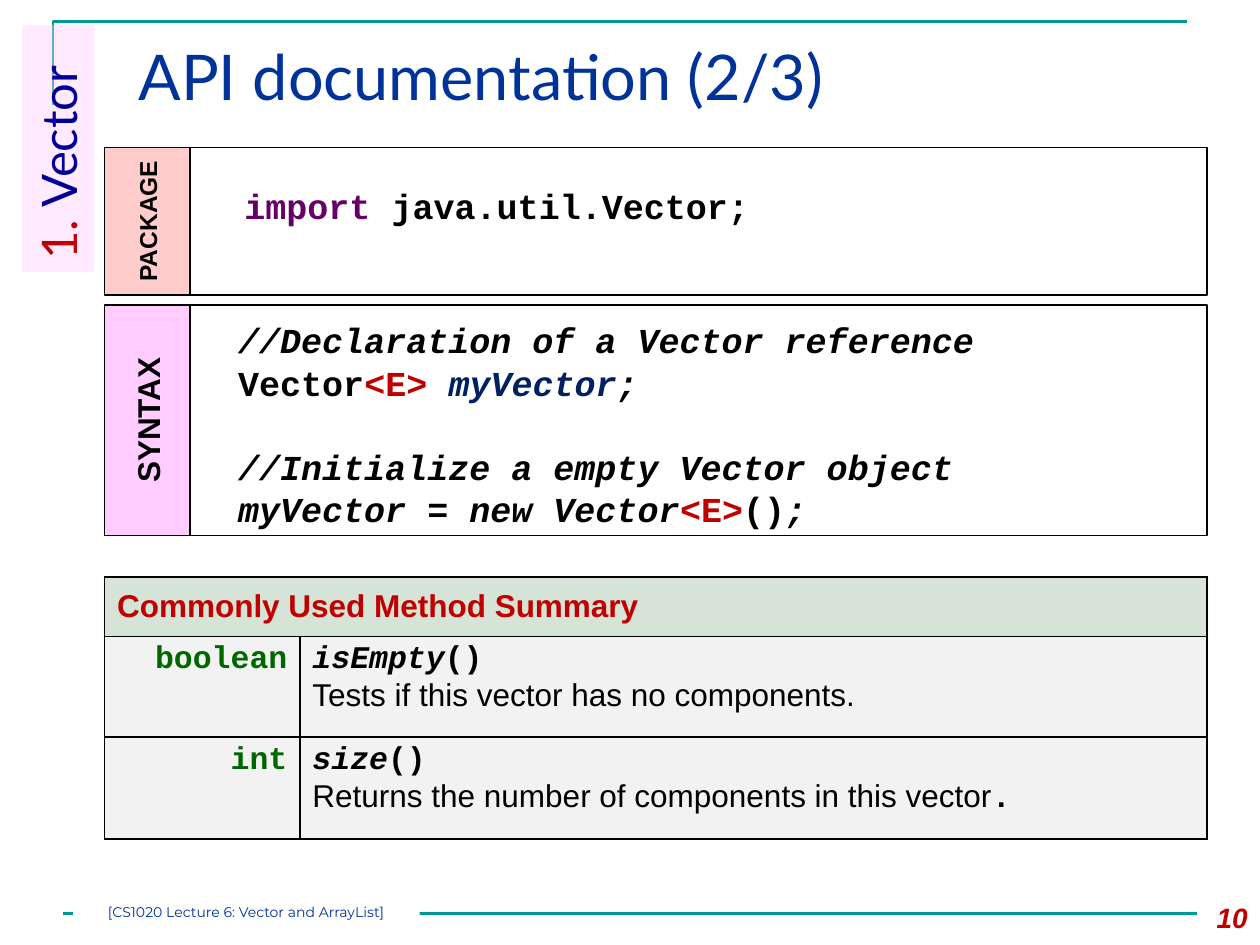
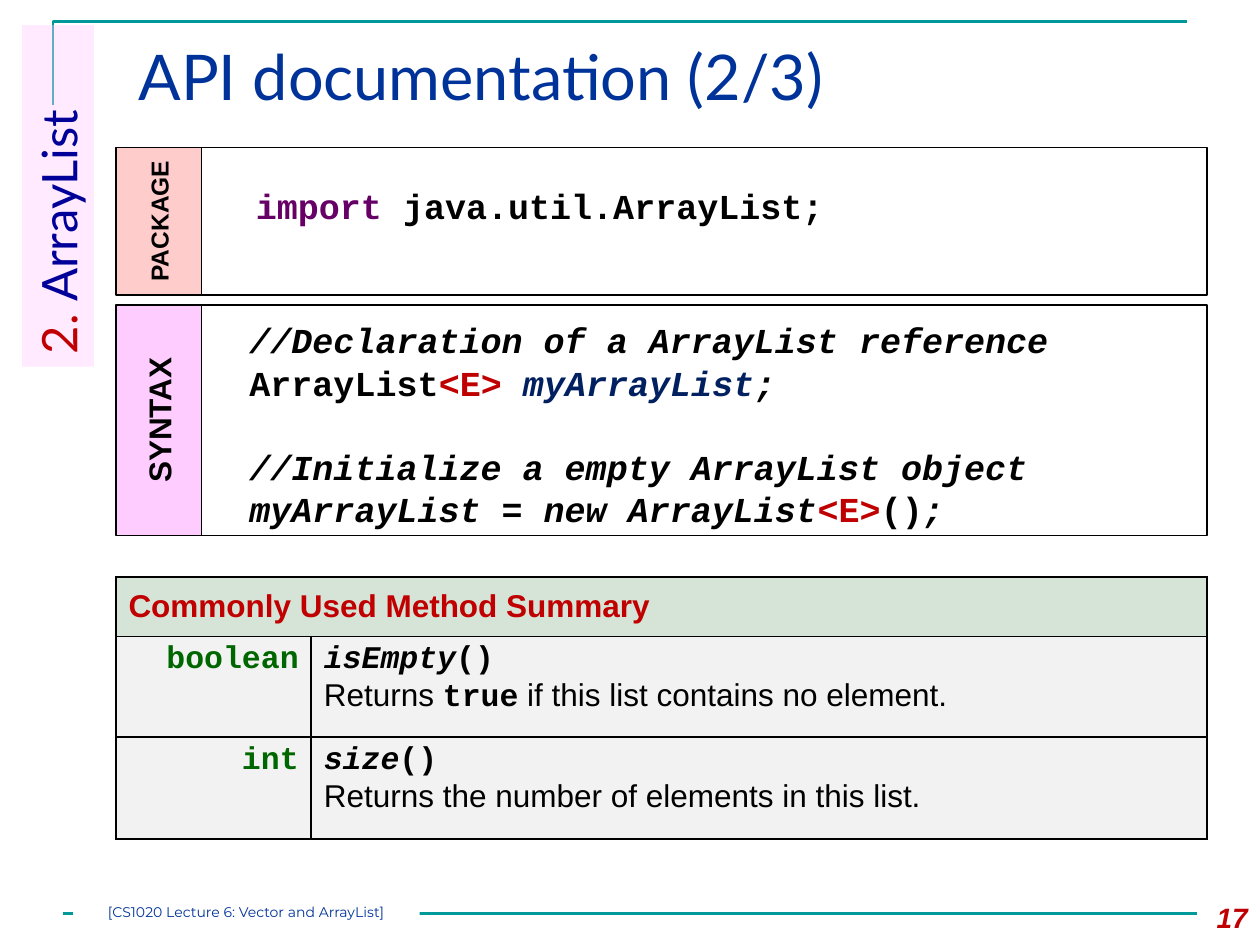
"""Build two lecture slides documenting the Vector and ArrayList classes."""
from lxml import etree
from pptx import Presentation, util as u
from pptx.dml.color import RGBColor
from pptx.enum import shapes, text
from pptx.oxml.ns import qn

Inches, Pt = u.Inches, u.Pt
COLORS = {
    "black": "000000", "white": "FFFFFF", "teal": "009999", "title": "003399",
    "red": "C00000", "navy": "000099", "variable": "002060", "keyword": "660066",
    "type": "006600", "pink": "FFCCFF", "salmon": "FFCCCC", "header": "D6E3D7",
    "row": "F2F2F2",
}
SANS, CODE, HEADING, FOOTER = "Arial", "Courier New", "Lato", "Montserrat"
RIGHT_EDGE = 9.58
LABEL_WIDTH = 0.68


def rgb(name):
    return RGBColor.from_string(COLORS[name])


def code(words, color="black", style="b"):
    return words, color, CODE, style


def plain(words):
    return words, "black", SANS, ""


class SlideBuilder:
    """Hold the shared style and the current slide, and draw elements on it."""

    def __init__(self, presentation):
        self.presentation = presentation
        self.slide = None

    def start(self, title):
        self.slide = self.presentation.slides.add_slide(self.presentation.slide_layouts[5])
        self.corner_line()
        self.rule()
        shape = self.slide.shapes.title
        shape.left, shape.top = Inches(1), Inches(0.25)
        shape.width, shape.height = Inches(8.5), Inches(0.86)
        frame = shape.text_frame
        frame.auto_size = text.MSO_AUTO_SIZE.NONE
        frame.vertical_anchor = text.MSO_ANCHOR.TOP
        self.add_runs(frame.paragraphs[0], [(title, "title", HEADING, "")], 36)

    def add_runs(self, paragraph, runs, size, align=text.PP_ALIGN.LEFT):
        paragraph.alignment = align
        for words, color, font, style in runs:
            if words == "\n":
                paragraph.add_line_break()
                continue
            run = paragraph.add_run()
            run.text = words
            run.font.name, run.font.size = font, Pt(size)
            run.font.bold, run.font.italic = "b" in style, "i" in style
            run.font.color.rgb = rgb(color)

    def corner_line(self):
        builder = self.slide.shapes.build_freeform(Inches(0.42), Inches(0.83))
        builder.add_line_segments(
            [(Inches(0.42), Inches(0.17)), (Inches(9.42), Inches(0.17))], close=False)
        shape = builder.convert_to_shape()
        shape.shadow.inherit = False
        shape.fill.background()
        shape.line.color.rgb = rgb("teal")
        shape.line.width = Pt(1.5)

    def rule(self):
        line = self.slide.shapes.add_connector(
            shapes.MSO_CONNECTOR.STRAIGHT, Inches(0.5), Inches(7.25), Inches(9.5), Inches(7.25))
        line.line.color.rgb = rgb("teal")
        line.line.width = Pt(1.5)
        etree.SubElement(line.element.spPr, qn("a:effectLst"))

    def box(self, left, top, width, height, fill=None, outline=True):
        shape = self.slide.shapes.add_shape(
            shapes.MSO_SHAPE.RECTANGLE, Inches(left), Inches(top), Inches(width), Inches(height))
        shape.shadow.inherit = False
        if fill:
            shape.fill.solid()
            shape.fill.fore_color.rgb = rgb(fill)
        else:
            shape.fill.background()
        if outline:
            shape.line.color.rgb = rgb("black")
            shape.line.width = Pt(1)
        else:
            shape.line.fill.background()
        shape.text_frame.vertical_anchor = text.MSO_ANCHOR.TOP
        return shape

    def section_tag(self, number, name, length):
        height = 0.57
        shape = self.box(0.46 - length / 2, 0.2 + (length - height) / 2,
                         length, height, "pink", outline=False)
        shape.rotation = 270
        color = shape.element.spPr.find(qn("a:solidFill"))[0]
        etree.SubElement(color, qn("a:alpha"), val="40000")
        self.add_runs(shape.text_frame.paragraphs[0],
                      [(f"{number}. ", "red", HEADING, ""), (name, "navy", HEADING, "")], 28)

    def label(self, words, left, top, height, fill, size):
        shape = self.box(left, top, LABEL_WIDTH, height, fill)
        shape.text_frame.vertical_anchor = text.MSO_ANCHOR.MIDDLE
        shape.element.txBody.bodyPr.set("vert", "vert270")
        self.add_runs(shape.text_frame.paragraphs[0], [(words, "black", SANS, "b")], size,
                      text.PP_ALIGN.CENTER)

    def code_box(self, left, top, height, inset, blocks):
        frame = self.box(left, top, RIGHT_EDGE - left, height).text_frame
        frame.margin_left, frame.margin_top = Inches(0.43), Inches(inset)
        first = True
        for block in blocks:
            for index, runs in enumerate(block):
                paragraph = frame.paragraphs[0] if first else frame.add_paragraph()
                paragraph.line_spacing = Pt(24.1)
                if index == 0 and not first:
                    paragraph.space_before = Pt(24.1)
                self.add_runs(paragraph, runs, 20)
                first = False

    def cell(self, cell, runs, fill, align=text.PP_ALIGN.LEFT):
        cell.fill.solid()
        cell.fill.fore_color.rgb = rgb(fill)
        self.add_runs(cell.text_frame.paragraphs[0], runs, 18, align)

    def cell_borders(self, cell):
        properties = cell._tc.get_or_add_tcPr()
        for index, side in enumerate(("lnL", "lnR", "lnT", "lnB")):
            line = etree.Element(qn(f"a:{side}"), w=str(int(Pt(1))))
            fill = etree.SubElement(line, qn("a:solidFill"))
            etree.SubElement(fill, qn("a:srgbClr"), val=COLORS["black"])
            properties.insert(index, line)

    def method_table(self, left, methods):
        width = RIGHT_EDGE - left
        table = self.slide.shapes.add_table(
            len(methods) + 1, 2, Inches(left), Inches(4.58), Inches(width), Inches(2.08)).table
        table.first_row = table.horz_banding = False
        for column, size in zip(table.columns, (1.55, width - 1.55)):
            column.width = Inches(size)
        for row, size in zip(table.rows, (0.47, 0.8, 0.81)):
            row.height = Inches(size)
        header = table.cell(0, 0)
        header.merge(table.cell(0, 1))
        header.vertical_anchor = text.MSO_ANCHOR.MIDDLE
        self.cell(header, [("Commonly Used Method Summary", "red", SANS, "b")], "header")
        for row, (result, name, description) in enumerate(methods, 1):
            self.cell(table.cell(row, 0), [code(result, "type")], "row", text.PP_ALIGN.RIGHT)
            signature = [code(name, style="bi"), code("()"), code("\n")]
            self.cell(table.cell(row, 1), signature + description, "row")
        for cell in table.iter_cells():
            self.cell_borders(cell)

    def footer(self, number):
        box = self.slide.shapes.add_textbox(Inches(9.33), Inches(7.1), Inches(0.67), Inches(0.4))
        box.text_frame.word_wrap = True
        self.add_runs(box.text_frame.paragraphs[0], [(str(number), "red", SANS, "bi")], 16,
                      text.PP_ALIGN.RIGHT)
        frame = self.box(0.58, 7.17, 2.75, 0.17, "white", outline=False).text_frame
        frame.margin_left = frame.margin_top = frame.margin_right = frame.margin_bottom = 0
        self.add_runs(frame.paragraphs[0],
                      [("[CS1020 Lecture 6: Vector and ArrayList]", "title", FOOTER, "")], 8,
                      text.PP_ALIGN.CENTER)


def api_slide(builder, section, name, tag_length, left, methods, number):
    """Draw the documentation slide of one class."""
    builder.start("API documentation (2/3)")
    builder.section_tag(section, name, tag_length)
    package = [[[code("import", "keyword"), code(f" java.util.{name};")]]]
    syntax = [
        [[code(f"//Declaration of a {name} reference", style="bi")],
         [code(name), code("<E> ", "red"), code(f"my{name}", "variable", "bi"),
          code(";", style="bi")]],
        [[code(f"//Initialize a empty {name} object", style="bi")],
         [code(f"my{name} = new {name}", style="bi"), code("<E>", "red"), code("()"),
          code(";", style="bi")]],
    ]
    builder.code_box(left + 0.63, 2.42, 1.83, 0.11, syntax)
    builder.label("SYNTAX", left, 2.42, 1.83, "pink", 18)
    builder.label("PACKAGE", left, 1.17, 1.17, "salmon", 14)
    builder.code_box(left + LABEL_WIDTH, 1.17, 1.17, 0.29, package)
    builder.method_table(left, methods)
    builder.footer(number)


def main():
    presentation = Presentation()
    presentation.slide_width, presentation.slide_height = Inches(10), Inches(7.5)
    builder = SlideBuilder(presentation)
    api_slide(builder, 1, "Vector", 1.96, 0.83, [
        ("boolean", "isEmpty", [plain("Tests if this vector has no components.")]),
        ("int", "size", [plain("Returns the number of components in this vector"), code(".")]),
    ], 10)
    api_slide(builder, 2, "ArrayList", 2.71, 0.92, [
        ("boolean", "isEmpty", [plain("Returns "), code("true"),
                                plain(" if this list contains no element.")]),
        ("int", "size", [plain("Returns the number of elements in this list.")]),
    ], 17)
    presentation.save("out.pptx")


if __name__ == "__main__":
    main()
